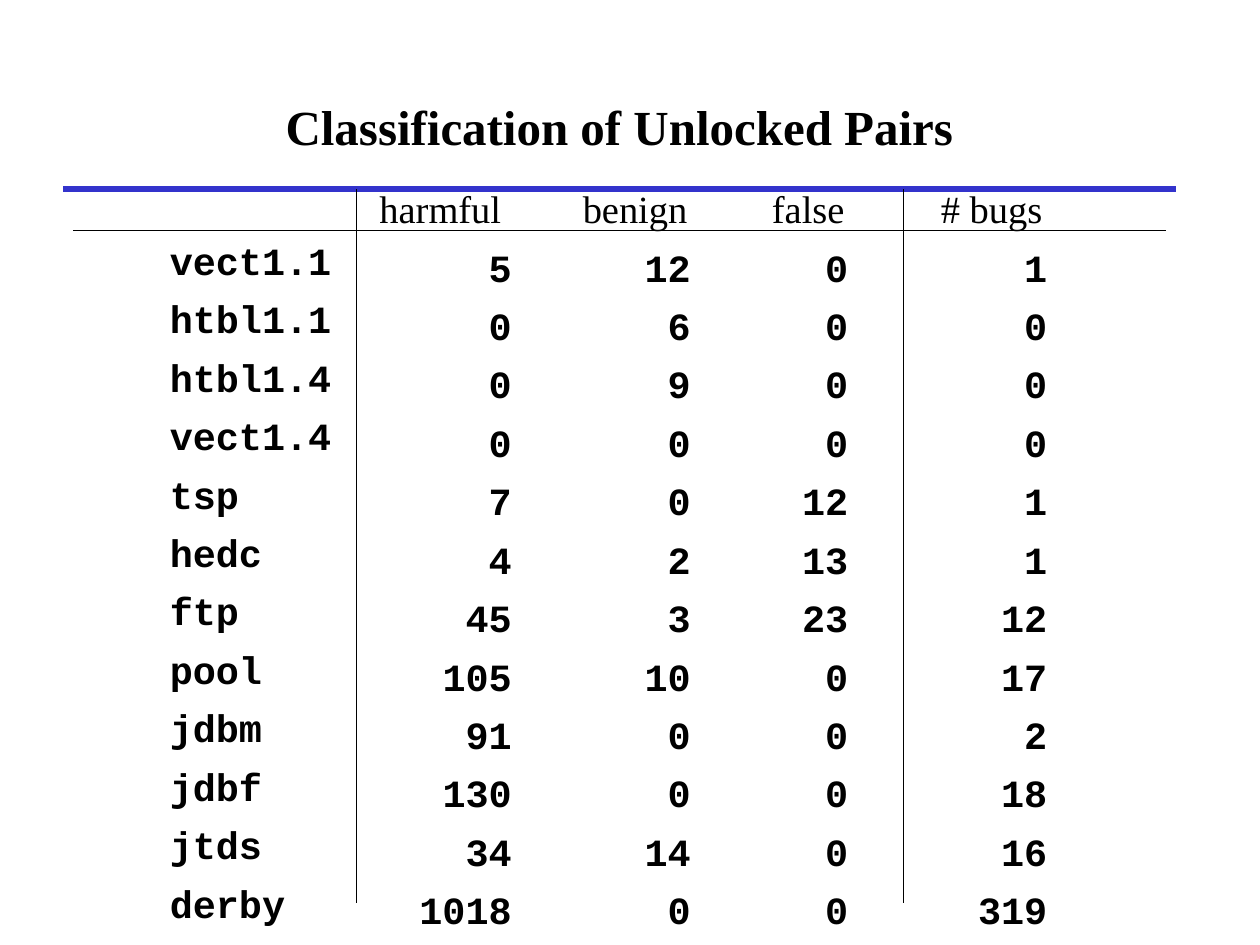
from dataclasses import dataclass

from lxml import etree
from pptx import Presentation
from pptx.dml.color import RGBColor
from pptx.enum import shapes, text
from pptx.oxml import ns
from pptx.util import Inches, Pt

TITLE = "Classification of Unlocked Pairs"
PROGRAMS = ["vect1.1", "htbl1.1", "htbl1.4", "vect1.4", "tsp", "hedc",
            "ftp", "pool", "jdbm", "jdbf", "jtds", "derby"]
# heading, left, width, one count per program
COUNTS = [
    ("harmful", 2.83, 1.33, [5, 0, 0, 0, 7, 4, 45, 105, 91, 130, 34, 1018]),
    ("benign", 4.5, 1.08, [12, 6, 9, 0, 0, 2, 3, 10, 0, 0, 14, 0]),
    ("false", 6, 0.83, [0, 0, 0, 0, 12, 13, 23, 0, 0, 0, 0, 0]),
    ("# bugs", 7.33, 1.08, [1, 0, 0, 0, 1, 1, 12, 17, 2, 18, 16, 319]),
]
COLUMN_BOTTOM = 7.25
TITLE_RULE, HEADING_RULE, DIVIDER_BOTTOM = 1.5, 1.83, 7.17
DIVIDERS = [2.83, 7.17]


@dataclass(frozen=True)
class Theme:
    ink: RGBColor = RGBColor(0, 0, 0)
    accent: RGBColor = RGBColor(0x33, 0x33, 0xCC)
    serif: str = "Times New Roman"
    mono: str = "Courier New"
    title_size: int = 28
    body_size: int = 22
    row_gap: float = 7
    thick: float = 3
    thin: float = 0.75


THEME = Theme()


def style(paragraph, face, size, bold):
    font = paragraph.runs[0].font
    font.name, font.size, font.bold = face, Pt(size), bold
    font.color.rgb = THEME.ink


def add_column(slide, left, top, width, entries, align, heading=None):
    box = slide.shapes.add_textbox(Inches(left), Inches(top), Inches(width),
                                   Inches(COLUMN_BOTTOM - top))
    frame = box.text_frame
    frame.word_wrap = True
    lines = ([heading] if heading else []) + [str(entry) for entry in entries]
    frame.text = "\n".join(lines)
    for paragraph in frame.paragraphs:
        paragraph.alignment = align
        paragraph.space_before = Pt(THEME.row_gap)
        style(paragraph, THEME.mono, THEME.body_size, True)
    if heading:
        paragraph = frame.paragraphs[0]
        paragraph.alignment = text.PP_ALIGN.CENTER
        style(paragraph, THEME.serif, THEME.body_size, False)


def add_rule(slide, x1, y1, x2, y2, color=THEME.ink, weight=THEME.thin):
    rule = slide.shapes.add_connector(
        shapes.MSO_CONNECTOR.STRAIGHT,
        Inches(x1), Inches(y1), Inches(x2), Inches(y2))
    rule.line.color.rgb = color
    rule.line.width = Pt(weight)
    etree.SubElement(rule._element.spPr, ns.qn("a:effectLst"))


def add_title(slide):
    title = slide.shapes.title
    title.left, title.top = Inches(0.5), Inches(0.5)
    title.width, title.height = Inches(8.83), Inches(1)
    title.text_frame.text = TITLE
    title.text_frame.vertical_anchor = text.MSO_ANCHOR.MIDDLE
    paragraph = title.text_frame.paragraphs[0]
    paragraph.alignment = text.PP_ALIGN.CENTER
    style(paragraph, THEME.serif, THEME.title_size, True)


def main():
    deck = Presentation()
    deck.slide_width, deck.slide_height = Inches(10), Inches(7.5)
    slide = deck.slides.add_slide(deck.slide_layouts[5])

    add_rule(slide, 0.5, TITLE_RULE, 9.33, TITLE_RULE, THEME.accent, THEME.thick)
    add_title(slide)
    add_column(slide, 1.25, HEADING_RULE, 2, PROGRAMS, text.PP_ALIGN.LEFT)
    for heading, left, width, counts in COUNTS:
        add_column(slide, left, 1.42, width, counts, text.PP_ALIGN.RIGHT, heading)
    add_rule(slide, 0.58, HEADING_RULE, 9.25, HEADING_RULE)
    for x in DIVIDERS:
        add_rule(slide, x, TITLE_RULE, x, DIVIDER_BOTTOM)

    deck.save("out.pptx")


if __name__ == "__main__":
    main()
